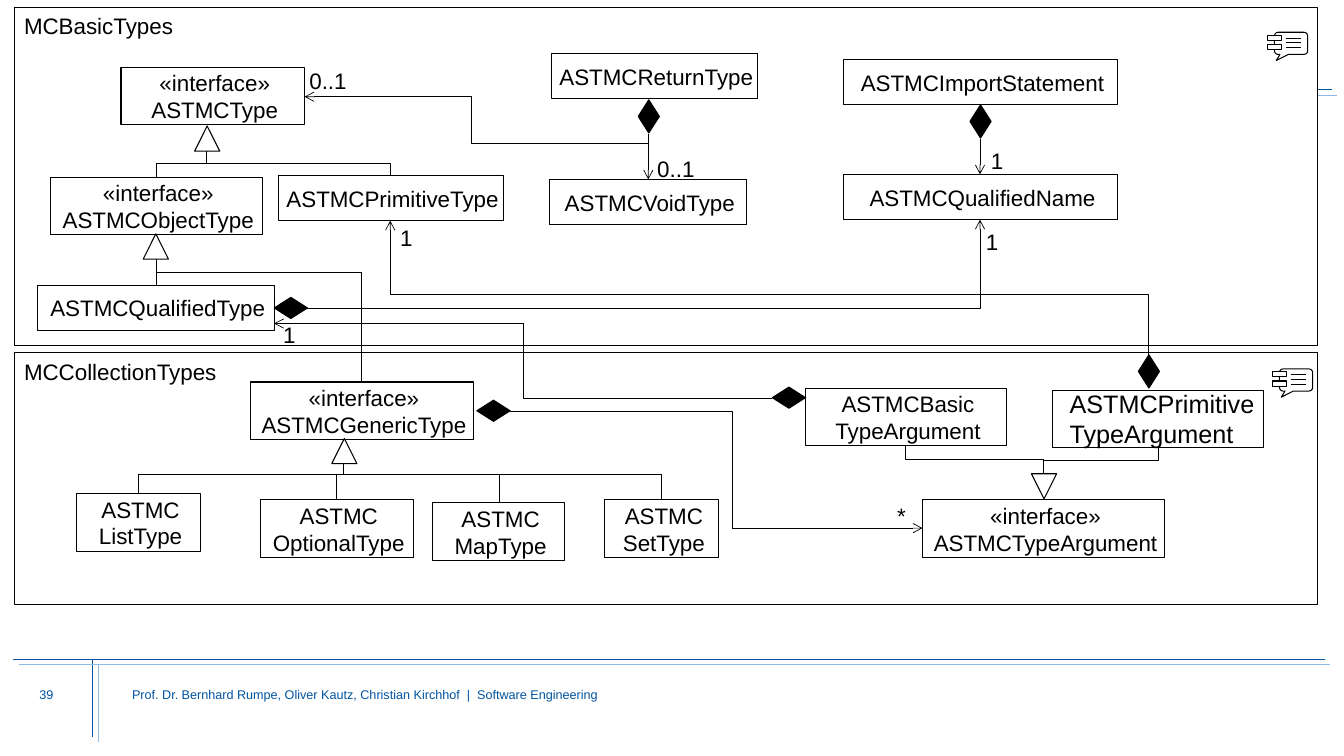
from dataclasses import dataclass

from lxml.etree import SubElement
from pptx import Presentation
from pptx.dml.color import RGBColor as Color
from pptx.enum.shapes import MSO_CONNECTOR as Link, MSO_SHAPE as Shape
from pptx.enum.text import MSO_ANCHOR as Anchor, PP_ALIGN as Align
from pptx.oxml.ns import qn
from pptx.util import Inches, Pt


@dataclass
class Theme:
    font: str = "Arial"
    black: Color = Color(0, 0, 0)
    white: Color = Color(255, 255, 255)
    blue: Color = Color(0x00, 0x54, 0x9F)
    light_blue: Color = Color(0x8E, 0xBA, 0xE5)
    text: int = 16
    large: int = 18
    footer: int = 9
    thin: float = 0.5
    line: float = 0.75


theme = Theme()

# The slide is a grid of square cells, 133.3 columns by 75 rows
CELL = Inches(0.1)
deck = Presentation()
deck.slide_width, deck.slide_height = Inches(13.33), Inches(7.5)
page = deck.slides.add_slide(deck.slide_layouts[6])


def add_box(preset, area, text="", fill=theme.white):
    box = page.shapes.add_shape(preset, *[round(v * CELL) for v in area])
    box.shadow.inherit = False
    box.fill.solid()
    box.fill.fore_color.rgb = fill
    box.line.color.rgb = theme.black
    box.line.width = Pt(theme.line)
    frame = box.text_frame
    frame.text = text
    frame.word_wrap = False
    frame.vertical_anchor = Anchor.MIDDLE
    frame.margin_left, frame.margin_right = Inches(0.08), Inches(0.04)
    frame.margin_top = frame.margin_bottom = 0
    for para in frame.paragraphs:
        para.alignment = Align.CENTER
        para.font.name, para.font.size = theme.font, Pt(theme.text)
        para.font.color.rgb = theme.black
    return box


def add_link(start, end, turns=(), vertical=False, arrow=False,
             width=theme.line, color=theme.black, preset="line"):
    """Straight or bent line; vertical means that it leaves up or down."""
    (x1, y1), (x2, y2) = start, end
    dx, dy = x2 - x1, y2 - y1
    if vertical:  # a bent line that is turned a quarter about its centre
        mid_x, mid_y = (x1 + x2) / 2, (y1 + y2) / 2
        half_w = abs(dy) / 2 * (1 if dx > 0 else -1)
        half_h = abs(dx) / 2 * (1 if dy < 0 else -1)
        x1, x2 = mid_x + half_w, mid_x - half_w
        y1, y2 = mid_y + half_h, mid_y - half_h
    kind = Link.STRAIGHT if preset == "line" else Link.ELBOW
    link = page.shapes.add_connector(kind, *[round(v * CELL) for v in (x1, y1, x2, y2)])
    link.line.color.rgb = color
    link.line.width = Pt(width)
    props = link._element.spPr
    if vertical:
        props.xfrm.set("rot", str((270 if dx * dy > 0 else 90) * 60000))
    geometry = props.find(qn("a:prstGeom"))
    geometry.set("prst", preset)
    spans = ((start[1], dy), (start[0], dx)) if vertical else ((start[0], dx), (start[1], dy))
    for number, (turn, (origin, span)) in enumerate(zip(turns, spans), 1):
        share = round((turn - origin) / span * 100000)
        SubElement(geometry.find(qn("a:avLst")), qn("a:gd"),
                   name=f"adj{number}", fmla=f"val {share}")
    if arrow:
        SubElement(props.find(qn("a:ln")), qn("a:tailEnd"), type="arrow")
    SubElement(props, qn("a:effectLst"))


# Double rules of the header and footer
for color, shift in ((theme.blue, 0), (theme.light_blue, 0.55)):
    for start, end in (((1.9, 8.9), (132.1, 8.9)), ((1.3, 65.4), (131.4, 65.4)),
                       ((9.2, 65.4), (9.2, 73.1))):
        add_link((start[0] + shift, start[1] + shift), (end[0] + shift, end[1] + shift),
                 width=theme.thin, color=color)

# Package frames, each with its component icon
for name, top, height, icon_x, icon_y in (("MCBasicTypes", 0.7, 33.6, 125.7, 3.2),
                                          ("MCCollectionTypes", 35, 25, 126.2, 36.6)):
    package = add_box(Shape.RECTANGLE, (1.4, top, 129.3, height), name)
    frame = package.text_frame
    frame.word_wrap = True
    frame.vertical_anchor = Anchor.TOP
    frame.margin_left = frame.margin_right = Inches(0.1)
    frame.margin_top = frame.margin_bottom = Inches(0.05)
    frame.paragraphs[0].alignment = Align.LEFT
    bubble = add_box(Shape.ROUNDED_RECTANGULAR_CALLOUT, (icon_x + 0.7, icon_y, 3.3, 2.2))
    bubble.adjustments[0], bubble.adjustments[1] = -0.446, 0.776
    for row in (0.3, 1.2):
        add_box(Shape.RECTANGLE, (icon_x, icon_y + row, 1.4, 0.5))
    for row in (0.6, 1.05, 1.5):
        add_link((icon_x + 1.8, icon_y + row), (icon_x + 3.3, icon_y + row))

# Inheritance lines: start, end, row of the bend
for start, end, bend in (
        ((20.5, 15), (15.5, 17.6), 16.2),
        ((38.7, 17.4), (20.5, 15), 16.2),
        ((35.9, 37.9), (15.5, 25.6), 27),
        ((34.1, 45.9), (65.6, 49.6), 47.1),
        ((13.7, 49), (34.1, 45.9), 47.1),
        ((34.1, 45.9), (33.4, 49.6), 47.1),
        ((34.1, 45.9), (49.5, 49.9), 47.1),
        ((103.5, 47), (114.9, 44.4), 45.7),
        ((89.8, 44.1), (103.5, 47), 45.6)):
    add_link(start, end, (bend,), vertical=True, preset="bentConnector3")
add_link((15.5, 25.6), (15.5, 28.3), width=theme.thin)

# Composition arrows: start, end, bends, vertical, preset
for start, end, turns, vertical, preset in (
        ((64.3, 13.3), (30.2, 9.6), (14.2, 46.7), True, "bentConnector4"),
        ((64.3, 13.3), (64.3, 17.8), (), False, "line"),
        ((97.2, 13.8), (97.2, 17.3), (), False, "line"),
        ((30.5, 30.6), (97.2, 21.8), (), False, "bentConnector2"),
        ((50.6, 40.8), (91.5, 52.4), (72.7,), False, "bentConnector3"),
        ((76.6, 39.5), (27.2, 32.1), (51.9,), False, "bentConnector3"),
        ((113.9, 35.2), (38.7, 21.9), (29.2,), True, "bentConnector3")):
    add_link(start, end, turns, vertical, True, theme.thin, preset=preset)

# Classes; the height follows from the number of lines
for text, left, top, width in (
        ("«interface»\nASTMCType", 12, 6.7, 18.2),
        ("«interface»\nASTMCObjectType", 5, 17.6, 21),
        ("ASTMCPrimitiveType", 27.6, 17.4, 22.3),
        ("ASTMCQualifiedType", 3.7, 28.3, 23.5),
        ("ASTMCReturnType", 54.7, 5.3, 20.4),
        ("ASTMCVoidType", 54.5, 17.8, 19.5),
        ("ASTMCImportStatement", 83.7, 5.9, 27.1),
        ("ASTMCQualifiedName", 83.7, 17.3, 27.1),
        ("«interface»\nASTMCGenericType", 24.8, 37.9, 22.2),
        ("ASTMC\nListType", 7.6, 49, 12.3),
        ("ASTMC\nOptionalType", 25.8, 49.6, 15.2),
        ("ASTMC\nMapType", 42.9, 49.9, 13.1),
        ("ASTMC\nSetType", 60, 49.6, 11.3),
        ("ASTMCBasic\nTypeArgument", 79.9, 38.5, 19.9),
        ("", 104.4, 38.7, 20.9),
        ("«interface»\nASTMCTypeArgument", 91.5, 49.6, 24)):
    one_line = text and "\n" not in text
    add_box(Shape.RECTANGLE, (left, top, width, 4.5 if one_line else 5.7), text)

# Inheritance triangles and composition diamonds
for left, top, turn in ((19.3, 12.5, 0), (14.2, 23.2, 0), (32.9, 43.5, 0), (102.3, 47, 180)):
    add_box(Shape.ISOSCELES_TRIANGLE, (left, top, 2.5, 2.5)).rotation = turn
for left, top, turn in ((63.3, 9.9, 0), (96.2, 10.4, 0), (112.9, 35.2, 0),
                        (27.8, 28.9, 270), (47.9, 39.1, 270), (77.2, 37.8, 270)):
    add_box(Shape.DIAMOND, (left, top, 2.1, 3.3), fill=theme.black).rotation = turn

# Multiplicities, the free class name and the footer
labels = [(text, (left, top, width, 3.7), theme.text, theme.black, False)
          for text, left, top, width in (
              ("0..1", 64.2, 14.9, 5.8), ("0..1", 29.7, 6.2, 5.8), ("1", 96.8, 22.1, 3.3),
              ("1", 97.3, 14.1, 3.3), ("1", 38.7, 21.7, 3.3), ("1", 27.1, 31.4, 3.3),
              ("*", 88, 49.3, 2.9))]
labels += [
    ("ASTMCPrimitive\nTypeArgument", (105.1, 38, 22.2, 7.1), theme.large, theme.black, True),
    ("39", (3.9, 68.1, 8, 4.3), theme.footer, theme.blue, True),
    ("Prof. Dr. Bernhard Rumpe, Oliver Kautz, Christian Kirchhof  |  Software Engineering",
     (13.1, 68.1, 76.6, 6.9), theme.footer, theme.blue, True)]
for text, area, size, color, wrap in labels:
    frame = page.shapes.add_textbox(*[round(v * CELL) for v in area]).text_frame
    frame.text = text
    frame.word_wrap = wrap
    if size == theme.footer:
        frame.margin_left = frame.margin_right = frame.margin_top = frame.margin_bottom = 0
    for para in frame.paragraphs:
        para.font.name, para.font.size = theme.font, Pt(size)
        para.font.color.rgb = color

deck.save("out.pptx")
